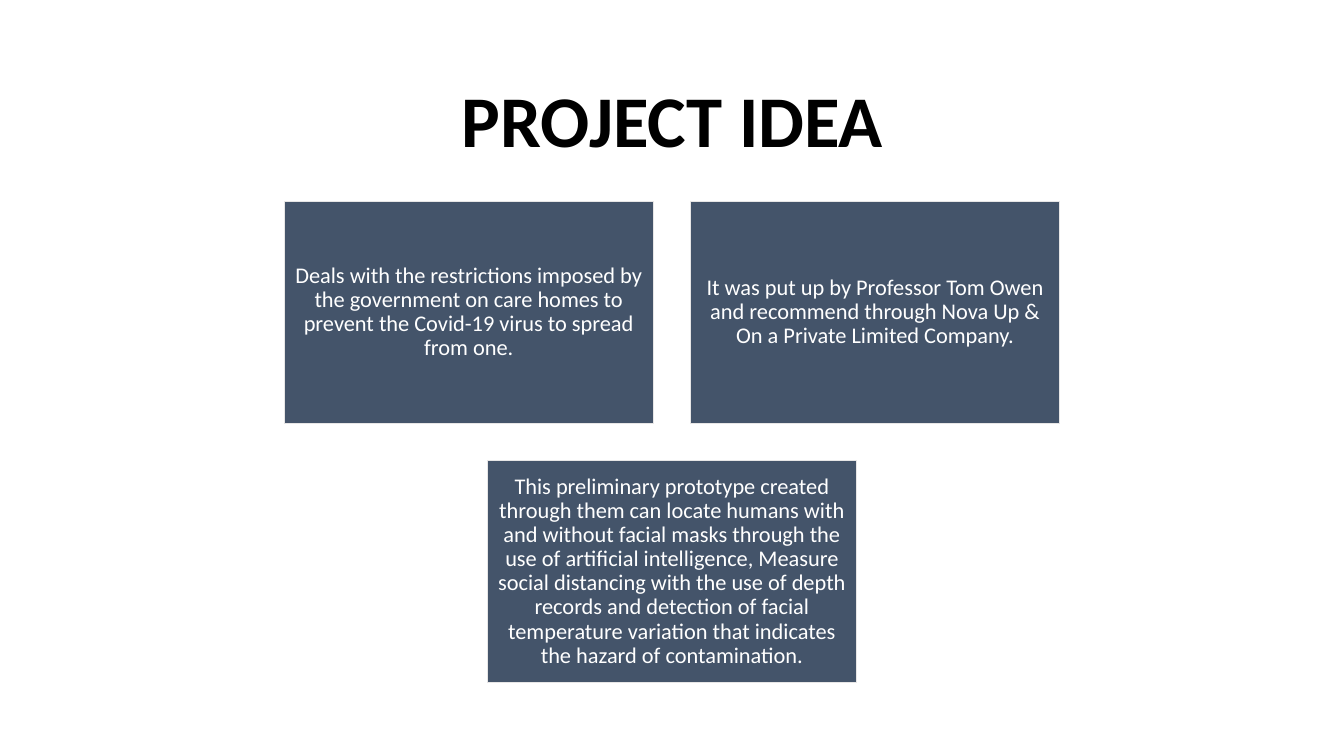
from pptx import Presentation
from pptx.dml.color import RGBColor
from pptx.enum import shapes, text
from pptx.util import Inches, Pt

COLOURS = {"title": "000000", "card": "44546A", "border": "E7E6E6", "card_text": "FFFFFF"}
SLIDE_WIDTH, SLIDE_HEIGHT = 13.33, 7.5
CARD_WIDTH, CARD_HEIGHT, GAP = 3.66, 2.2, 0.37
CARDS_TOP = 2
CARD_ROWS = [
    [
        "Deals with the restrictions imposed by the government on care homes "
        "to prevent the Covid-19 virus to spread from one.",
        "It was put up by Professor Tom Owen and recommend through "
        "Nova Up & On a Private Limited Company.",
    ],
    [
        "This preliminary prototype created through them can locate humans with and "
        "without facial masks through the use of artificial intelligence, Measure social "
        "distancing with the use of depth records and detection of facial temperature "
        "variation that indicates the hazard of contamination.",
    ],
]


def write_centred(shape, wording, size, colour, bold=False):
    """Write one centred paragraph in the middle of a shape."""
    frame = shape.text_frame
    frame.word_wrap = True
    frame.vertical_anchor = text.MSO_ANCHOR.MIDDLE
    paragraph = frame.paragraphs[0]
    paragraph.alignment = text.PP_ALIGN.CENTER
    paragraph.line_spacing = 0.9
    run = paragraph.add_run()
    run.text = wording
    run.font.name = "Calibri"
    run.font.size = Pt(size)
    run.font.bold = bold
    run.font.color.rgb = RGBColor.from_string(COLOURS[colour])


presentation = Presentation()
presentation.slide_width = Inches(SLIDE_WIDTH)
presentation.slide_height = Inches(SLIDE_HEIGHT)
slide = presentation.slides.add_slide(presentation.slide_layouts[6])

title = slide.shapes.add_textbox(Inches(0.92), Inches(0.61), Inches(11.5), Inches(1.24))
write_centred(title, "PROJECT IDEA", 52, "title", bold=True)

# Each row of cards is centred across the slide
for row, wordings in enumerate(CARD_ROWS):
    row_width = len(wordings) * (CARD_WIDTH + GAP) - GAP
    row_left = (SLIDE_WIDTH - row_width) / 2
    top = CARDS_TOP + row * (CARD_HEIGHT + GAP)
    for column, wording in enumerate(wordings):
        left = row_left + column * (CARD_WIDTH + GAP)
        card = slide.shapes.add_shape(
            shapes.MSO_SHAPE.RECTANGLE,
            Inches(left), Inches(top), Inches(CARD_WIDTH), Inches(CARD_HEIGHT),
        )
        card.shadow.inherit = False
        card.fill.solid()
        card.fill.fore_color.rgb = RGBColor.from_string(COLOURS["card"])
        card.line.color.rgb = RGBColor.from_string(COLOURS["border"])
        card.line.width = Pt(1)
        frame = card.text_frame
        frame.margin_left = frame.margin_right = Inches(0.07)
        frame.margin_top = frame.margin_bottom = Inches(0.07)
        write_centred(card, wording, 16, "card_text")

presentation.save("out.pptx")
